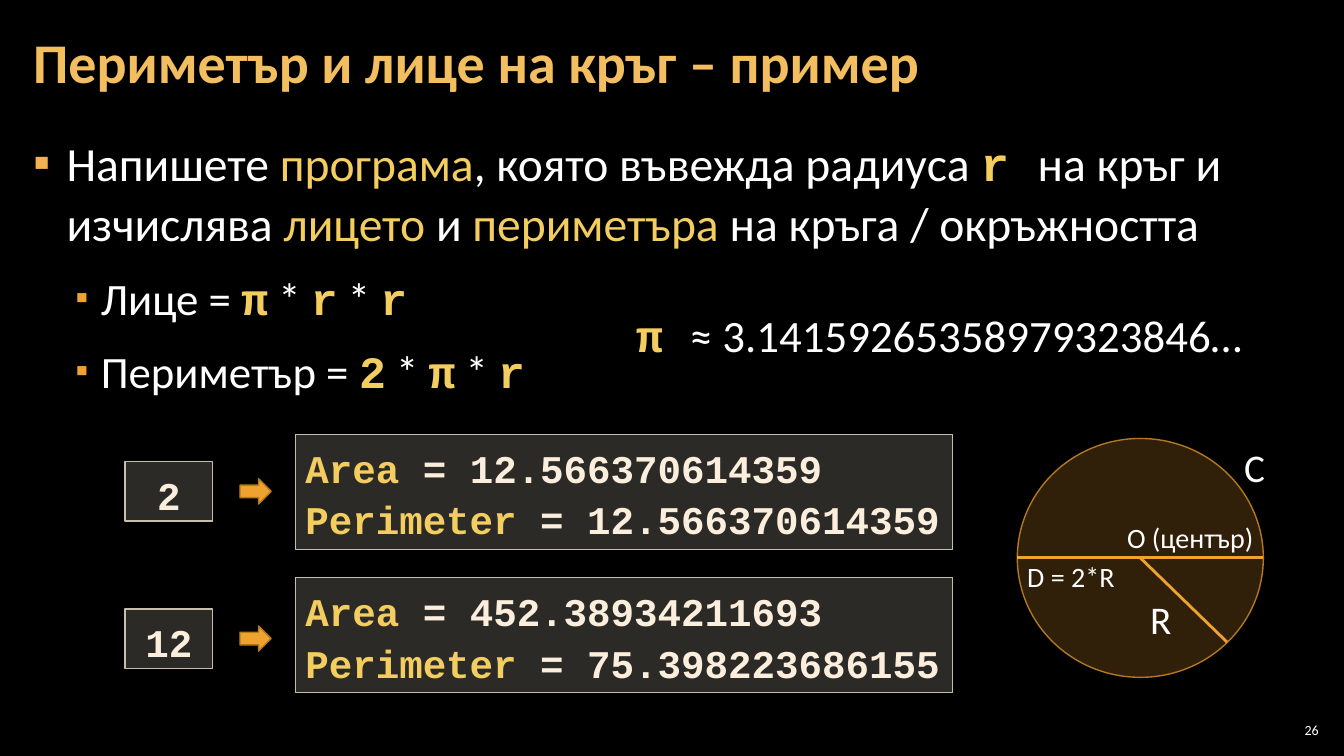
from lxml.etree import SubElement
from pptx import Presentation
from pptx.dml.color import RGBColor
from pptx.enum.shapes import MSO_CONNECTOR, MSO_SHAPE
from pptx.enum.text import MSO_ANCHOR as Anchor, PP_ALIGN as Align
from pptx.oxml.ns import qn
from pptx.util import Inches, Pt

WIDTH, HEIGHT = 13.33, 7.5
ORANGE, EDGE, SAND, SAND_EDGE = "F0A22E", "B27822", "D9D5C7", "C7BFAC"

# Style: font, colour, bold
PLAIN = ("Calibri", "FFFFFF", False)
KEY = ("Calibri", "F3CD60", False)
HEAD = ("Calibri", "F3BE60", True)
CODE = ("Courier New", "F3CD60", True)
VALUE = ("Courier New", "FBEEDC", True)

TITLE = [("Периметър и лице на кръг – пример", HEAD)]
TASK = [
    ("Напишете ", PLAIN), ("програма", KEY),
    (", която въвежда радиуса ", PLAIN), ("r ", CODE),
    ("на кръг и изчислява ", PLAIN), ("лицето", KEY), (" и ", PLAIN),
    ("периметъра", KEY), (" на кръга / окръжността", PLAIN),
]
FORMULAS = [("Лице = ", ["π", "r", "r"]), ("Периметър = ", ["2", "π", "r"])]
PI = [("π ", CODE), ("≈ 3.14159265358979323846…", PLAIN)]
EXAMPLES = [
    ("2", [("Area", "12.566370614359"), ("Perimeter", "12.566370614359")]),
    ("12", [("Area", "452.38934211693"), ("Perimeter", "75.398223686155")]),
]
CIRCLE_LABELS = [  # text, size, left, top, width, height
    ("C", 28, 12.24, 4.35, 0.41, 0.57),
    ("O (център)", 20, 11.08, 5.11, 1.47, 0.44),
    ("R", 28, 11.31, 5.86, 0.42, 0.57),
    ("D = 2*R", 20, 10.09, 5.5, 1.07, 0.44),
]
PAGE = [("26", PLAIN)]

EXAMPLE_TOP, EXAMPLE_STEP = 4.31, 1.42
INPUT_DROP = (0.27, 0.31)  # how far each input box sits below its output box
CIRCLE = (10.09, 4.35, 2.44, 2.37)
RIM_POINT = (12.17, 6.37)

prs = Presentation()
prs.slide_width, prs.slide_height = Inches(WIDTH), Inches(HEIGHT)
slide = prs.slides.add_slide(prs.slide_layouts[6])


def color(value):
    return RGBColor.from_string(value)


def set_style(font, style):
    font.name, font.bold = style[0], style[2]
    font.color.rgb = color(style[1])


def write(paragraph, runs, size, align=Align.LEFT, spacing=1.0):
    """The first run's style is the paragraph's; other runs override it."""
    paragraph.alignment, paragraph.line_spacing = align, spacing
    base = runs[0][1]
    paragraph.font.size = Pt(size)
    set_style(paragraph.font, base)
    for text, style in runs:
        run = paragraph.add_run()
        run.text = text
        if style != base:
            set_style(run.font, style)


def write_all(frame, paragraphs, size, **options):
    for index, runs in enumerate(paragraphs):
        paragraph = frame.add_paragraph() if index else frame.paragraphs[0]
        write(paragraph, runs, size, **options)


def text_box(box, paragraphs, size, insets=(0.1, 0.05), anchor=Anchor.TOP,
             wrap=True, **options):
    frame = slide.shapes.add_textbox(*map(Inches, box)).text_frame
    frame.word_wrap, frame.vertical_anchor = wrap, anchor
    frame.margin_left = frame.margin_right = Inches(insets[0])
    frame.margin_top = frame.margin_bottom = Inches(insets[1])
    write_all(frame, paragraphs, size, **options)
    return frame


def bullet(paragraph, level, indent, hanging, bullet_color, percent):
    paragraph.level = level
    paragraph.space_before = paragraph.space_after = Pt(6)
    props = paragraph._p.get_or_add_pPr()
    props.set("marL", str(Inches(indent)))
    props.set("indent", str(-Inches(hanging)))
    defaults = props.find(qn("a:defRPr"))
    tint = SubElement(props, qn("a:buClr"))
    SubElement(tint, qn("a:srgbClr"), val=bullet_color)
    SubElement(props, qn("a:buSzPct"), val=str(percent * 1000))
    SubElement(props, qn("a:buFont"), typeface="Calibri")
    SubElement(props, qn("a:buChar"), char="▪")
    props.append(defaults)  # the schema wants it after the bullet


def shape(kind, box, fill, edge, opacity=100):
    item = slide.shapes.add_shape(kind, *map(Inches, box))
    item.shadow.inherit = False
    item.fill.solid()
    item.fill.fore_color.rgb = color(fill)
    if opacity < 100:
        tint = item.fill._xPr.find(qn("a:solidFill"))[0]
        SubElement(tint, qn("a:alpha"), val=str(opacity * 1000))
    item.line.color.rgb, item.line.width = color(edge), Pt(1)
    return item


def code_box(box, paragraphs, align):
    frame = shape(MSO_SHAPE.RECTANGLE, box, SAND, SAND_EDGE, 20).text_frame
    frame.word_wrap, frame.vertical_anchor = True, Anchor.TOP
    write_all(frame, paragraphs, 28, align=align, spacing=1.1)


def line(start, end):
    connector = slide.shapes.add_connector(
        MSO_CONNECTOR.STRAIGHT, *map(Inches, start + end))
    connector.line.color.rgb, connector.line.width = color(ORANGE), Pt(2)
    SubElement(connector._element.spPr, qn("a:effectLst"))


def formula_runs(label, factors):
    runs = [(label, PLAIN)]
    for index, factor in enumerate(factors):
        if index:
            runs.append((" * ", PLAIN))
        runs.append((factor, CODE))
    return runs


background = slide.background.fill
background.solid()
background.fore_color.rgb = color("000000")

text_box((12.65, 7.14, 0.47, 0.21), [PAGE], 10, (0.04, 0.04), Anchor.MIDDLE,
         align=Align.RIGHT)
body = text_box((0.21, 1.26, 12.91, 6.09), [TASK], 34, (0.12, 0.04), spacing=1.05)
bullet(body.paragraphs[0], 0, 0.33, 0.33, "F2B254", 100)
for label, factors in FORMULAS:
    formula = body.add_paragraph()
    write(formula, formula_runs(label, factors), 32, spacing=1.05)
    bullet(formula, 1, 0.67, 0.25, ORANGE, 80)
text_box((0.21, 0.04, 10.47, 1.21), [TITLE], 40, (0.12, 0.04), Anchor.MIDDLE,
         spacing=0.9)
text_box((5.75, 3, 6.67, 0.64), [PI], 32, align=Align.RIGHT)

for row, (radius, results) in enumerate(EXAMPLES):
    top = EXAMPLE_TOP + row * EXAMPLE_STEP
    input_top = top + INPUT_DROP[row]
    code_box((1.24, input_top, 0.87, 0.59), [[(radius, VALUE)]], Align.CENTER)
    shape(MSO_SHAPE.RIGHT_ARROW, (2.38, input_top + 0.17, 0.31, 0.25), ORANGE, EDGE)
    code_box((2.93, top, 6.52, 1.14),
             [[(name, CODE), (f" = {value}", VALUE)] for name, value in results],
             Align.LEFT)

shape(MSO_SHAPE.OVAL, CIRCLE, ORANGE, EDGE, 20)
left, top, width, height = CIRCLE
middle = top + height / 2
line((left + width / 2, middle), RIM_POINT)
line((left, middle), (left + width, middle))
for text, size, *box in CIRCLE_LABELS:
    text_box(box, [[(text, PLAIN)]], size, wrap=False)

prs.save("out.pptx")
